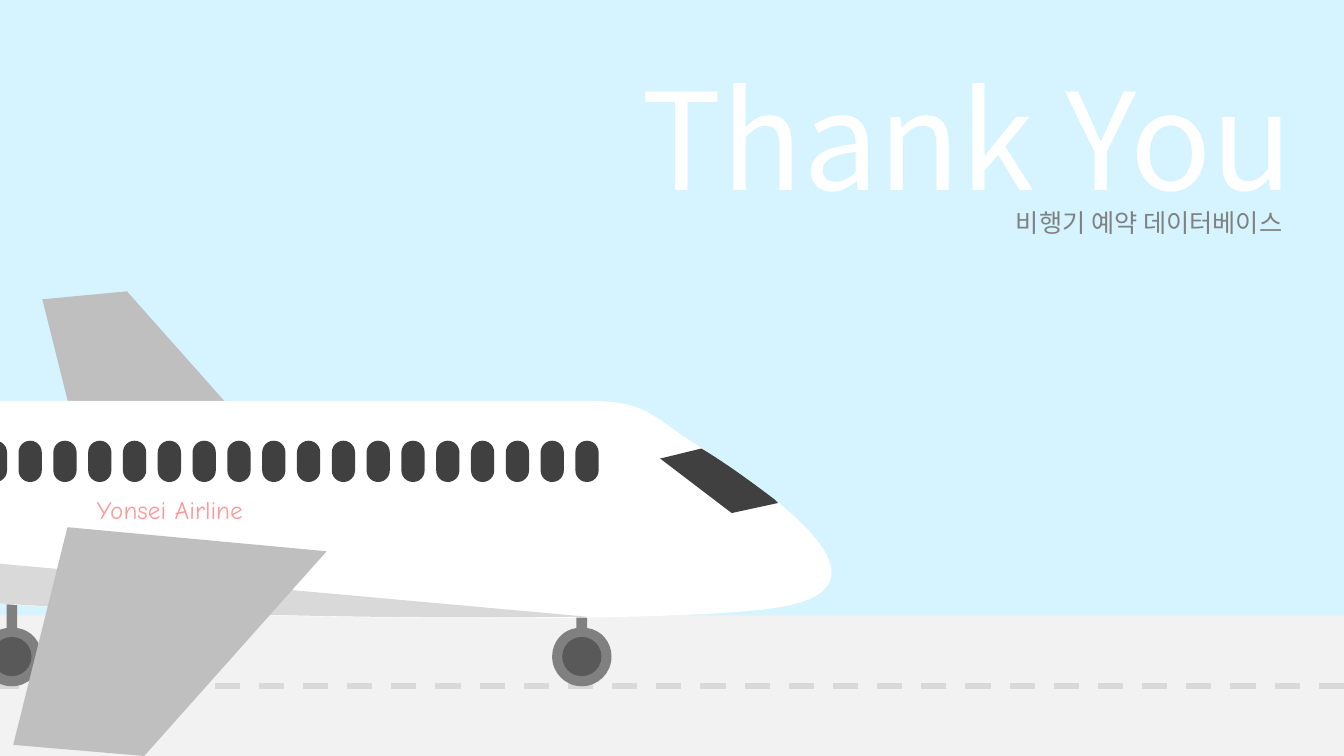
from dataclasses import dataclass

from lxml.etree import SubElement
from pptx import Presentation
from pptx.dml.color import RGBColor
from pptx.enum.dml import MSO_LINE
from pptx.enum.shapes import MSO_CONNECTOR, MSO_SHAPE
from pptx.enum.text import MSO_ANCHOR, MSO_AUTO_SIZE, PP_ALIGN
from pptx.oxml.ns import qn
from pptx.util import Pt


@dataclass(frozen=True)
class Theme:
    sky: str = "D5F4FF"
    road: str = "F2F2F2"
    pale: str = "D9D9D9"
    wing: str = "BFBFBF"
    gear: str = "808080"
    hub: str = "595959"
    glass: str = "404040"
    white: str = "FFFFFF"
    pink: str = "FF9999"
    sans: str = "Noto Sans CJK KR"
    hand: str = "Comic Neue"
    title: int = 96
    label: int = 18


T = Theme()
W, H = 960, 540

prs = Presentation()
prs.slide_width, prs.slide_height = Pt(W), Pt(H)
s = prs.slides.add_slide(prs.slide_layouts[5])
s.background.fill.solid()
s.background.fill.fore_color.rgb = RGBColor.from_string(T.sky)


def write(shape, text, *, size, color, font=T.sans, align=PP_ALIGN.RIGHT,
          anchor=MSO_ANCHOR.TOP, wrap=True):
    tf = shape.text_frame
    tf.auto_size = MSO_AUTO_SIZE.NONE
    tf.word_wrap = wrap
    tf.vertical_anchor = anchor
    tf.margin_left = tf.margin_right = Pt(7.2)
    tf.margin_top = tf.margin_bottom = Pt(3.6)
    p = tf.paragraphs[0]
    p.alignment = align
    r = p.add_run()
    r.text = text
    r.font.size = Pt(size)
    r.font.name = font
    r.font.color.rgb = RGBColor.from_string(color)
    SubElement(r.font._element, qn("a:ea"), typeface=font)


def add_part(color, *, outline=None, preset=None, box=None):
    """Add a flat shape; an outline entry is a point (2 numbers) or a Bézier curve (6)."""
    if outline:
        anchors = [(Pt(entry[-2]), Pt(entry[-1])) for entry in outline]
        builder = s.shapes.build_freeform(*anchors[0])
        builder.add_line_segments(anchors[1:], close=True)
        shape = builder.convert_to_shape()
        segments = list(shape._element.iter(qn("a:lnTo")))
        for segment, entry in zip(segments, outline[1:]):
            if len(entry) == 6:
                curve = segment.makeelement(qn("a:cubicBezTo"))
                for x, y in zip(entry[::2], entry[1::2]):
                    SubElement(curve, qn("a:pt"), x=str(Pt(x) - shape.left),
                               y=str(Pt(y) - shape.top))
                segment.getparent().replace(segment, curve)
    else:
        shape = s.shapes.add_shape(preset, *map(Pt, box))
    shape.shadow.inherit = False
    shape.fill.solid()
    shape.fill.fore_color.rgb = RGBColor.from_string(color)
    shape.line.fill.background()
    return shape


# Heading
title = s.shapes.title
title.left, title.top, title.width, title.height = Pt(211.7), Pt(36.7), Pt(719.3), Pt(123.8)
write(title, "Thank You", size=T.title, color=T.white)
subtitle = s.shapes.add_textbox(Pt(695.5), Pt(144.7), Pt(227.5), Pt(28.8))
write(subtitle, "비행기 예약 데이터베이스", size=T.label, color=T.gear, wrap=False)

# Runway
add_part(T.road, preset=MSO_SHAPE.RECTANGLE, box=(0, 439.6, W, H - 439.6))
centre_line = s.shapes.add_connector(MSO_CONNECTOR.STRAIGHT, Pt(W), Pt(489.8), Pt(0), Pt(489.8))
centre_line.line.color.rgb = RGBColor.from_string(T.pale)
centre_line.line.width = Pt(4.5)
centre_line.line.dash_style = MSO_LINE.DASH
SubElement(centre_line._element.spPr, qn("a:effectLst"))

# Landing gear
for x in (415.6, 8.5):
    add_part(T.gear, outline=[
        (x - 3.8, 427), (x + 3.8, 427), (x + 3.8, 448.6),
        (x + 14, 450, x + 21.2, 458.6, x + 21.2, 469),
        (x + 21.2, 480.7, x + 11.7, 490.2, x, 490.2),
        (x - 11.7, 490.2, x - 21.2, 480.7, x - 21.2, 469),
        (x - 21.2, 458.6, x - 14, 450, x - 3.8, 448.6)])
    add_part(T.hub, preset=MSO_SHAPE.OVAL, box=(x - 14, 455, 28, 28))

# Tail and fuselage
add_part(T.wing, outline=[(30.2, 213.8), (55.4, 314.6), (175.7, 303.8), (90.7, 208.1)])
fuselage = add_part(T.white, outline=[
    (-351.4, 286.4), (423.4, 286.4), (430.6, 286.6),
    (460.1, 288, 468, 298.1, 489.6, 312.5),
    (514.8, 329.2, 594, 377.6, 594, 408.9),
    (594, 420.6, 582.9, 429.9, 553.7, 434.2),
    (520.4, 439.2, 442.5, 441.6, 349.9, 441.6),
    (162.6, 441.6, -84.7, 431.8, -144, 414),
    (-150.5, 411.8), (-300.2, 326.9)])
write(fuselage, "Yonsei Airline", size=T.label, color=T.pink, font=T.hand,
      align=PP_ALIGN.CENTER, anchor=MSO_ANCHOR.MIDDLE)

# Windows
for i in range(18):
    window = add_part(T.glass, preset=MSO_SHAPE.ROUNDED_RECTANGLE,
                      box=(-11.6 + 24.86 * i, 314.8, 16.6, 29.5))
    window.adjustments[0] = 0.5
add_part(T.glass, outline=[
    (501.1, 320.4), (506.9, 324), (520.6, 332.6, 537.8, 344.9, 553.7, 357.1),
    (555.8, 359.3), (522.7, 366.5), (471.6, 327.6)])

# Belly and wing
belly = add_part(T.pale, outline=[
    (-203.5, 412.2), (419.8, 412.8), (410.4, 413.7),
    (222, 433.4, -80.7, 450.3, -148.5, 436.2), (-154.5, 434.5)])
belly.rotation = 5.1
add_part(T.wing, outline=[(9.4, 532.1), (48.2, 376.6), (233.3, 393.8), (103, 540)])

prs.save("out.pptx")
